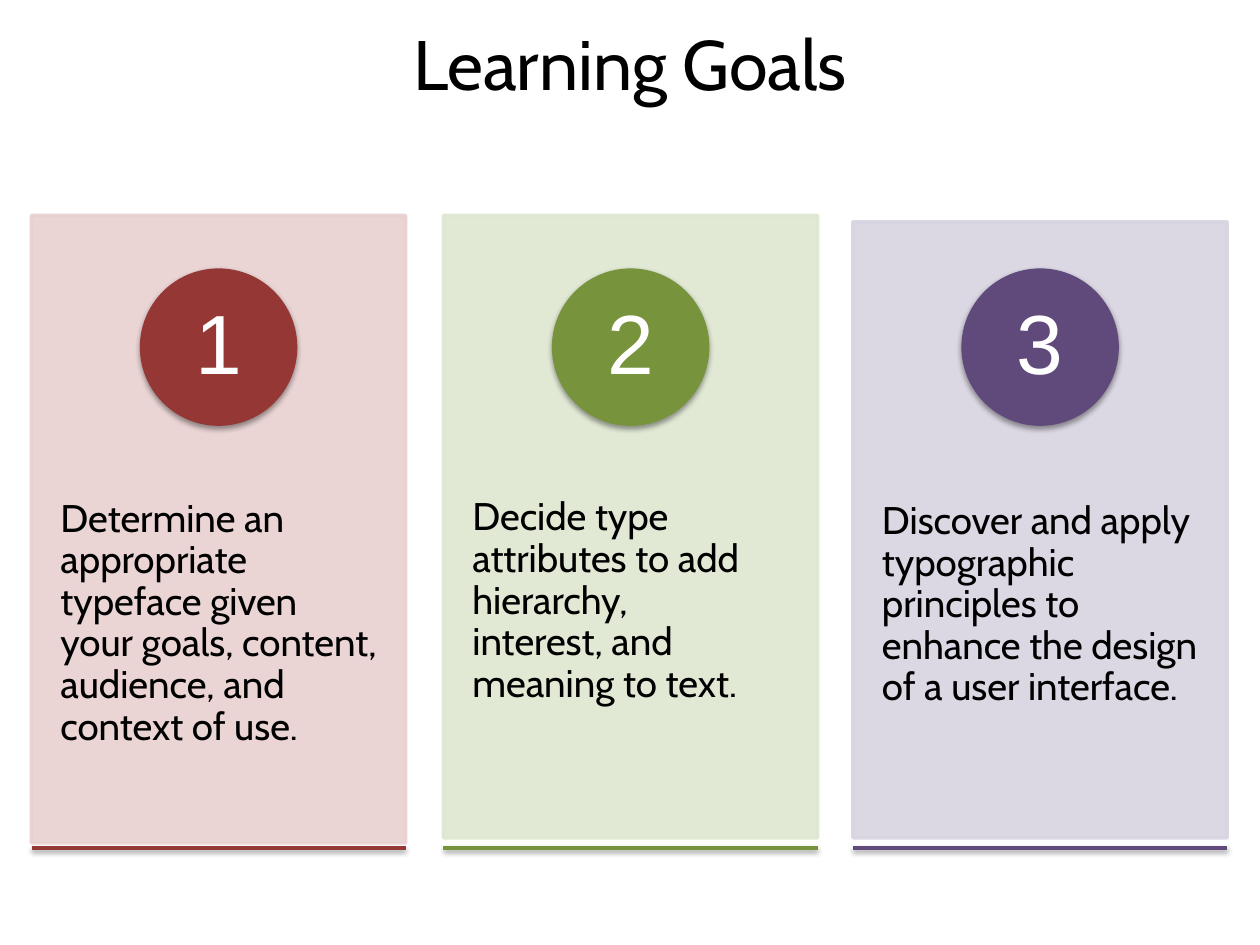
from dataclasses import dataclass

from lxml import etree
from pptx import Presentation
from pptx.dml.color import RGBColor
from pptx.enum.shapes import MSO_CONNECTOR as CONN, MSO_SHAPE as SHAPE
from pptx.enum.text import MSO_ANCHOR as ANCHOR, PP_ALIGN as ALIGN
from pptx.oxml.ns import qn
from pptx.util import Inches, Pt


@dataclass(frozen=True)
class Theme:
    """Colours, fonts and type sizes of the deck."""
    ink: str = "000000"
    white: str = "FFFFFF"
    font: str = "Cabin"
    number_font: str = "Arial"
    title_size: int = 40
    body_size: int = 22
    number_size: int = 48
    line_width: int = 2
    panels: tuple = ("E8D0D0", "DEE7D1", "D8D3E0")
    accents: tuple = ("953735", "77933C", "604A7B")


class Deck:
    """Holds the theme and the current slide, and draws its elements."""

    def __init__(self, prs, theme):
        self.theme = theme
        self.slide = prs.slides.add_slide(prs.slide_layouts[5])
        self.shapes = self.slide.shapes

    def group(self):
        """Send the next elements to a new group."""
        self.shapes = self.slide.shapes.add_group_shape().shapes

    def set_text(self, sp, text, font, size, color, insets, **paragraph):
        """Put one formatted paragraph into a shape."""
        tf = sp.text_frame
        tf.word_wrap = True
        sides = ("left", "top", "right", "bottom")
        for side, inset in zip(sides, insets * 2):
            setattr(tf, f"margin_{side}", Inches(inset))
        p = tf.paragraphs[0]
        p.text = text
        for name, value in paragraph.items():
            setattr(p, name, value)
        for r in p.runs:
            for name, value in {"name": font, "size": Pt(size)}.items():
                setattr(r.font, name, value)
            r.font.color.rgb = RGBColor.from_string(color)
        return tf

    def title(self, text):
        """Place and fill the title placeholder."""
        t = self.theme
        sp = self.slide.shapes.title
        box = {"left": 0, "top": 0, "width": 10, "height": 1}
        for name, value in box.items():
            setattr(sp, name, Inches(value))
        tf = self.set_text(sp, text, t.font, t.title_size, t.ink, (0.1, 0.05),
                           alignment=ALIGN.CENTER)
        tf.vertical_anchor = ANCHOR.MIDDLE

    def shadow(self, s):
        """Give a shape a soft shadow straight below it."""
        effects = etree.SubElement(s._element.spPr, qn("a:effectLst"))
        outer = etree.SubElement(effects, qn("a:outerShdw"), blurRad=str(Pt(3.1)),
                                 dist=str(Pt(1.6)), dir="5400000", rotWithShape="0")
        color = etree.SubElement(outer, qn("a:srgbClr"), val=self.theme.ink)
        etree.SubElement(color, qn("a:alpha"), val="38000")

    def panel(self, x, y, w, h, color):
        """Draw a slightly transparent panel."""
        s = self.shapes.add_shape(SHAPE.RECTANGLE, *map(Inches, (x, y, w, h)))
        s.line.width = Pt(self.theme.line_width)
        for fill in (s.fill, s.line.fill):
            fill.solid()
            fill.fore_color.rgb = RGBColor.from_string(color)
        for clr in s._element.spPr.iter(qn("a:srgbClr")):
            etree.SubElement(clr, qn("a:alpha"), val="90000")
        s.shadow.inherit = False

    def body(self, x, y, w, h, text):
        """Add the goal text."""
        t = self.theme
        sp = self.shapes.add_textbox(*map(Inches, (x, y, w, h)))
        self.set_text(sp, text, t.font, t.body_size, t.ink, (0.23, 0.36),
                      line_spacing=0.9, space_after=Pt(0.35 * t.body_size))

    def badge(self, x, y, d, text, color):
        """Draw a numbered circle."""
        t = self.theme
        s = self.shapes.add_shape(SHAPE.OVAL, *map(Inches, (x, y, d, d)))
        s.fill.solid()
        s.fill.fore_color.rgb = RGBColor.from_string(color)
        s.line.fill.background()
        self.shadow(s)
        side = 0.88
        gap = (d - side) / 2
        sp = self.shapes.add_textbox(*map(Inches, (x + gap, y + gap, side, side)))
        tf = self.set_text(sp, text, t.number_font, t.number_size, t.white,
                           (0.1, 0.01), alignment=ALIGN.CENTER, line_spacing=0.9,
                           space_after=Pt(0.35 * t.number_size))
        tf.vertical_anchor = ANCHOR.MIDDLE

    def rule(self, x, y, w, color):
        """Draw a horizontal rule."""
        s = self.shapes.add_connector(CONN.STRAIGHT, *map(Inches, (x, y, x + w, y)))
        s.line.width = Pt(self.theme.line_width)
        s.line.color.rgb = RGBColor.from_string(color)
        self.shadow(s)


GOALS = [
    (0.25, 1.71, 4.98, 3.6, "Determine an appropriate typeface given your goals, "
     "content, audience, and context of use."),
    (3.52, 1.71, 4.94, 3.59, "Decide type attributes to add hierarchy, \v"
     "interest, and meaning to text."),
    (6.77, 1.76, 4.89, 3.62, "Discover and apply typographic principles to "
     "enhance the design of a user interface."),
]


def main():
    """Build the learning goals slide."""
    prs = Presentation()
    prs.slide_width, prs.slide_height = Inches(10), Inches(7.5)
    theme = Theme()
    deck = Deck(prs, theme)
    deck.title("Learning Goals")
    width, diameter = 2.97, 1.25
    columns = zip(GOALS, theme.panels, theme.accents)
    for n, ((x, y, h, text_y, text), tint, accent) in enumerate(columns, 1):
        deck.group()
        deck.panel(x, y, width, h, tint)
        deck.body(x, text_y, width, y + h - 0.1 - text_y, text)
        deck.badge(x + (width - diameter) / 2, 2.13, diameter, str(n), accent)
        deck.rule(x, 6.73, width, accent)
    prs.save("out.pptx")


if __name__ == "__main__":
    main()
